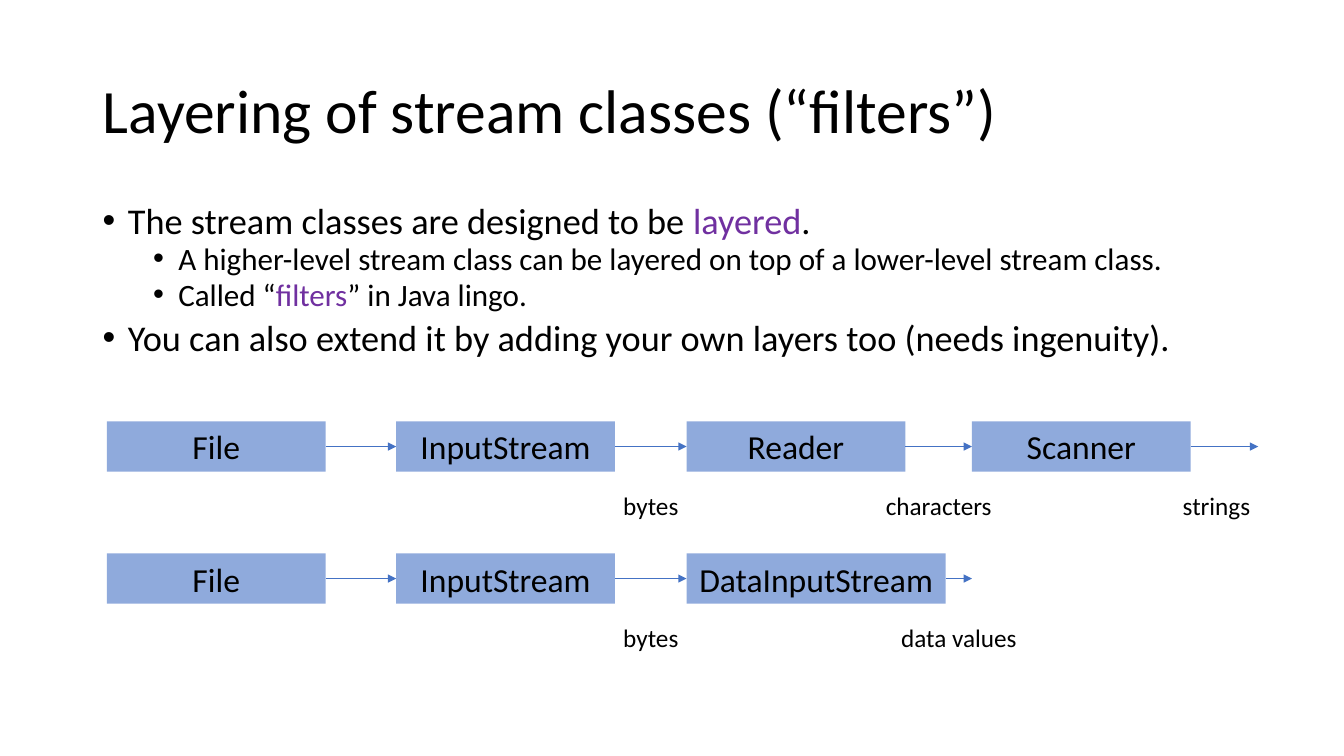
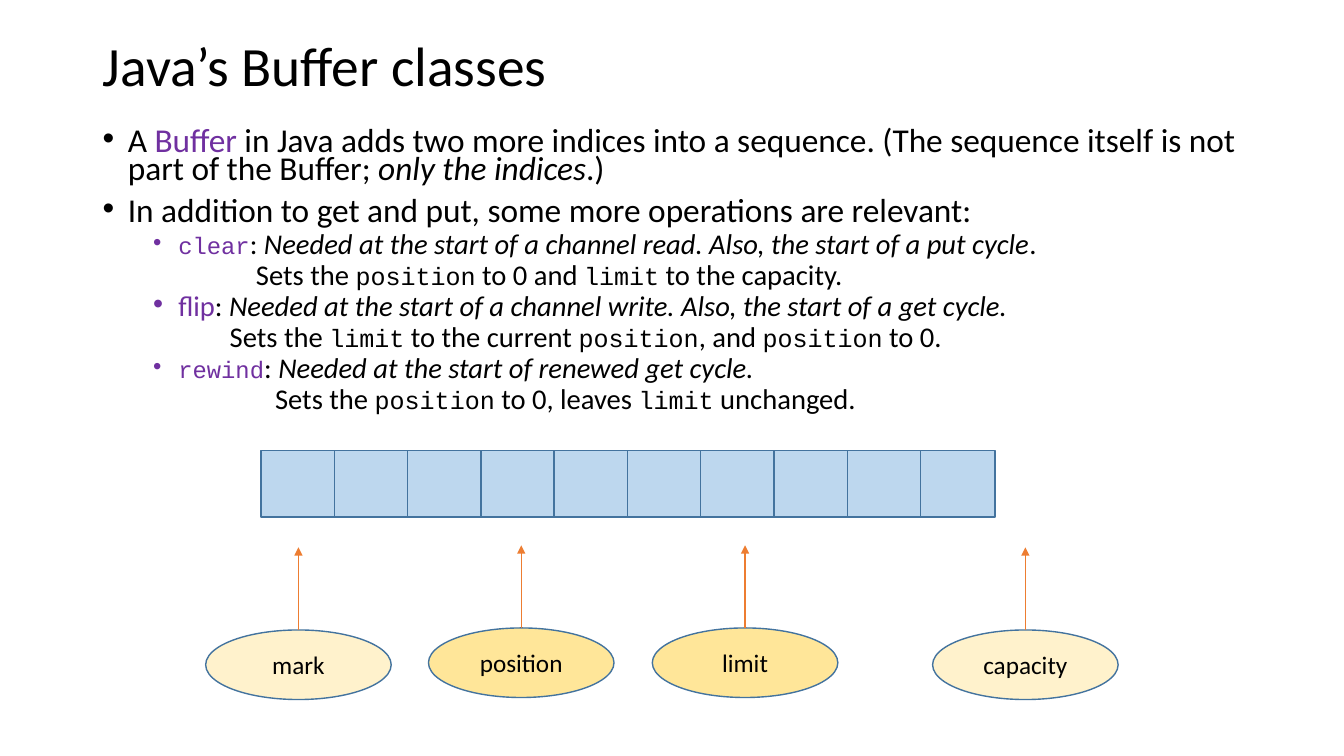
from dataclasses import dataclass
from typing import NamedTuple

from lxml.etree import SubElement
from pptx import Presentation
from pptx.dml.color import RGBColor
from pptx.enum.shapes import MSO_CONNECTOR as Connector, MSO_SHAPE as Shape
from pptx.enum.text import MSO_ANCHOR as Anchor, MSO_AUTO_SIZE as AutoSize, PP_ALIGN as Align
from pptx.oxml.ns import qn
from pptx.util import Inches, Pt


@dataclass(frozen=True)
class Theme:
    text: str = "000000"
    key: str = "7030A0"
    stage: str = "8FAADC"
    flow: str = "4472C4"
    cell: str = "BDD7EE"
    outline: str = "43739E"
    outer_index: str = "FFF2CC"
    inner_index: str = "FFE699"
    pointer: str = "ED7D31"
    sans: str = "Calibri"
    mono: str = "Courier New"
    stage_size: float = 24
    label_size: float = 18
    code_size: float = 17.9
    operation_size: float = 17
    line_width: float = 1
    left: float = 0.92
    width: float = 11.5


THEME = Theme()


class Run(NamedTuple):
    text: str
    color: str = THEME.text
    font: str = THEME.sans
    italic: bool = False
    size: float | None = None


def key(text: str) -> Run:
    return Run(text, color=THEME.key)


def stressed(text: str) -> Run:
    return Run(text, italic=True)


def code(text: str) -> Run:
    return Run(text, font=THEME.mono, size=THEME.code_size)


def operation(text: str) -> Run:
    return Run(text, THEME.key, THEME.mono, size=THEME.operation_size)


class Point(NamedTuple):
    runs: list[Run]
    level: int = 0
    indent: float | None = None


@dataclass(frozen=True)
class Outline:
    top: float
    height: float
    sizes: tuple[float, float]
    gaps: tuple[float, float]
    spacing: float
    points: list[Point]


class Stage(NamedTuple):
    name: str
    left: float
    width: float = 2.17
    output: str = ""
    shift: float = 0


class Pipeline(NamedTuple):
    top: float
    end: float
    stages: list[Stage]


class Index(NamedTuple):
    name: str
    left: float
    top: float
    fill: str


LAYERING = Outline(2, 1.81, (25.9, 22.2), (8, 4), 0.8, [
    Point([Run("The stream classes are designed to be "), key("layered"), Run(".")]),
    Point([Run("A higher-level stream class can be layered on top of a lower-level stream class.")], 1),
    Point([Run("Called “"), key("filters"), Run("” in Java lingo.")], 1),
    Point([Run("You can also extend it by adding your own layers too (needs ingenuity).")]),
])

BUFFERS = Outline(1.24, 2.93, (23.8, 20.4), (10, 5), 0.7, [
    Point([Run("A "), key("Buffer"),
           Run(" in Java adds two more indices into a sequence. "
               "(The sequence itself is not part of the Buffer; "),
           stressed("only the indices"), Run(".)")]),
    Point([Run("In addition to get and put, some more operations are relevant:")]),
    Point([operation("clear"), Run(": "),
           stressed("Needed at the start of a channel read. Also, the start of a put cycle"),
           Run(".")], 1),
    Point([Run("Sets the "), code("position"), Run(" to 0 and "), code("limit"),
           Run(" to the capacity.")], 1, 1.52),
    Point([key("flip"), Run(": "),
           stressed("Needed at the start of a channel write. Also, the start of a get cycle.")], 1),
    Point([Run("Sets the "), code("limit"), Run(" to the current "), code("position"),
           Run(", and "), code("position"), Run(" to 0.")], 1, 1.26),
    Point([operation("rewind"), Run(": "),
           stressed("Needed at the start of renewed get cycle.")], 1),
    Point([Run("Sets the "), code("position"), Run(" to 0, leaves "), code("limit"),
           Run(" unchanged.")], 1, 1.71),
])

FILE = Stage("File", 1.06)
INPUT = Stage("InputStream", 3.93, output="bytes")
PIPELINES = [
    Pipeline(4.18, 12.48, [FILE, INPUT, Stage("Reader", 6.81, output="characters"),
                           Stage("Scanner", 9.64, output="strings", shift=-0.08)]),
    Pipeline(5.49, 9.64, [FILE, INPUT, Stage("DataInputStream", 6.81, 2.57, "data values")]),
]
STAGE_HEIGHT = 0.5
OUTPUT_DROP = 0.63
OUTPUT_WIDTH = 1.78

CELL_COUNT = 10
FIRST_CELL, LAST_CELL = 2.59, 9.13
CELL_TOP, CELL_WIDTH, CELL_HEIGHT = 4.47, 0.74, 0.66
INDICES = [
    Index("mark", 2.04, 6.25, THEME.outer_index),
    Index("position", 4.25, 6.23, THEME.inner_index),
    Index("limit", 6.47, 6.23, THEME.inner_index),
    Index("capacity", 9.25, 6.25, THEME.outer_index),
]
INDEX_WIDTH, INDEX_HEIGHT, POINTER_LENGTH = 1.84, 0.69, 0.82


def box(left: float, top: float, width: float, height: float) -> list[int]:
    return [Inches(value) for value in (left, top, width, height)]


def write(paragraph, run: Run, size: float) -> None:
    part = paragraph.add_run()
    part.text = run.text
    formats = {"name": run.font, "size": Pt(run.size or size), "italic": run.italic}
    for attribute, value in formats.items():
        setattr(part.font, attribute, value)
    part.font.color.rgb = RGBColor.from_string(run.color)


def add_titled_slide(deck, title: str, height: float, size: float):
    slide = deck.slides.add_slide(deck.slide_layouts[5])
    heading = slide.shapes.title
    heading.left, heading.top, heading.width, heading.height = box(
        THEME.left, 0.4, THEME.width, height)
    frame = heading.text_frame
    frame.auto_size = AutoSize.NONE
    frame.vertical_anchor = Anchor.MIDDLE
    paragraph = frame.paragraphs[0]
    paragraph.alignment = Align.LEFT
    paragraph.line_spacing = 0.9
    write(paragraph, Run(title), size)
    return slide


def add_outline(slide, outline: Outline) -> None:
    frame = slide.shapes.add_textbox(
        *box(THEME.left, outline.top, THEME.width, outline.height)).text_frame
    frame.word_wrap = True
    for number, point in enumerate(outline.points):
        paragraph = frame.add_paragraph() if number else frame.paragraphs[0]
        paragraph.level = point.level
        properties = paragraph._p.get_or_add_pPr()
        if point.indent is None:
            properties.set("marL", str(Inches(0.25 + 0.5 * point.level)))
            properties.set("indent", str(Inches(-0.25)))
            SubElement(properties, qn("a:buFont"), typeface="Arial")
            SubElement(properties, qn("a:buChar"), char="•")
        else:
            properties.set("marL", str(Inches(point.indent)))
            properties.set("indent", "0")
        paragraph.line_spacing = outline.spacing
        paragraph.space_before = Pt(outline.gaps[point.level] if number else 0)
        for run in point.runs:
            write(paragraph, run, outline.sizes[point.level])


def label(shape, text: str, size: float) -> None:
    frame = shape.text_frame
    frame.word_wrap = False
    frame.vertical_anchor = Anchor.MIDDLE
    frame.paragraphs[0].alignment = Align.CENTER
    write(frame.paragraphs[0], Run(text), size)


def add_block(slide, kind: Shape, place: list[int], fill: str, outline: str | None = None):
    block = slide.shapes.add_shape(kind, *place)
    block.shadow.inherit = False
    block.fill.solid()
    block.fill.fore_color.rgb = RGBColor.from_string(fill)
    if outline:
        block.line.color.rgb = RGBColor.from_string(outline)
        block.line.width = Pt(THEME.line_width)
    else:
        block.line.fill.background()
    return block


def add_arrow(slide, start: tuple[float, float], end: tuple[float, float], color: str) -> None:
    arrow = slide.shapes.add_connector(
        Connector.STRAIGHT, *[Inches(value) for value in (*start, *end)])
    arrow.line.color.rgb = RGBColor.from_string(color)
    arrow.line.width = Pt(THEME.line_width)
    SubElement(arrow.line._get_or_add_ln(), qn("a:tailEnd"), type="triangle")
    SubElement(arrow._element.spPr, qn("a:effectLst"))


def add_pipeline(slide, pipeline: Pipeline) -> None:
    middle = pipeline.top + STAGE_HEIGHT / 2
    targets = [stage.left for stage in pipeline.stages[1:]] + [pipeline.end]
    for stage, target in zip(pipeline.stages, targets):
        block = add_block(slide, Shape.RECTANGLE,
                          box(stage.left, pipeline.top, stage.width, STAGE_HEIGHT), THEME.stage)
        label(block, stage.name, THEME.stage_size)
        source = stage.left + stage.width
        add_arrow(slide, (source, middle), (target, middle), THEME.flow)
        if stage.output:
            left = (source + target - OUTPUT_WIDTH) / 2 + stage.shift
            output = slide.shapes.add_textbox(
                *box(left, pipeline.top + OUTPUT_DROP, OUTPUT_WIDTH, 0.4))
            label(output, stage.output, THEME.label_size)


def add_sequence(slide) -> None:
    pitch = (LAST_CELL - FIRST_CELL) / (CELL_COUNT - 1)
    for number in range(CELL_COUNT):
        add_block(slide, Shape.RECTANGLE,
                  box(FIRST_CELL + number * pitch, CELL_TOP, CELL_WIDTH, CELL_HEIGHT),
                  THEME.cell, THEME.outline)


def add_index(slide, index: Index) -> None:
    oval = add_block(slide, Shape.OVAL, box(index.left, index.top, INDEX_WIDTH, INDEX_HEIGHT),
                     index.fill, THEME.outline)
    label(oval, index.name, THEME.label_size)
    center = index.left + INDEX_WIDTH / 2
    add_arrow(slide, (center, index.top), (center, index.top - POINTER_LENGTH), THEME.pointer)


def main() -> None:
    deck = Presentation()
    deck.slide_width, deck.slide_height = Inches(13.33), Inches(7.5)

    layering = add_titled_slide(deck, "Layering of stream classes (“filters”)", 1.45, 44)
    add_outline(layering, LAYERING)
    for pipeline in PIPELINES:
        add_pipeline(layering, pipeline)

    buffers = add_titled_slide(deck, "Java’s Buffer classes", 0.56, 39.6)
    add_outline(buffers, BUFFERS)
    add_sequence(buffers)
    for index in INDICES:
        add_index(buffers, index)

    deck.save("out.pptx")


if __name__ == "__main__":
    main()
